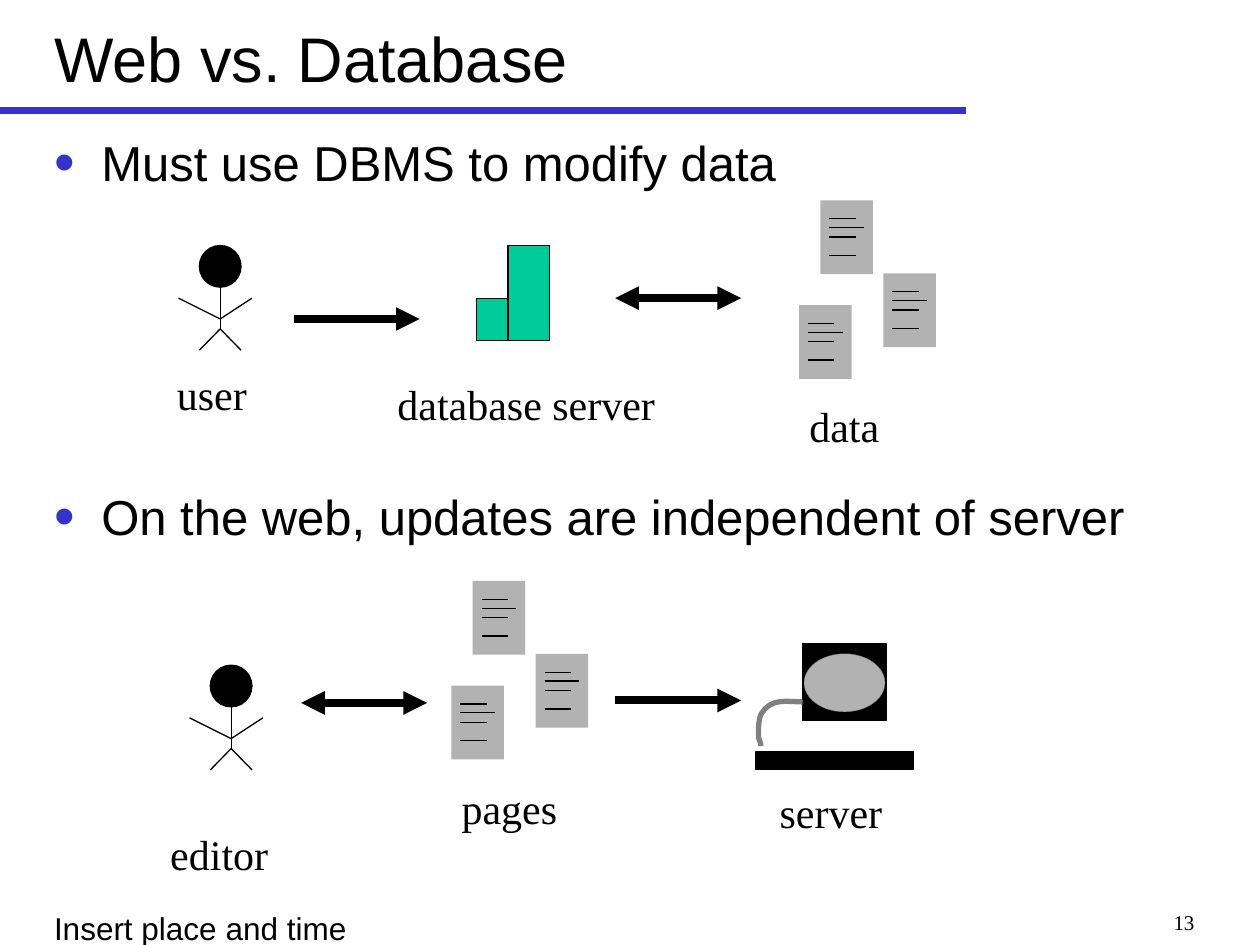
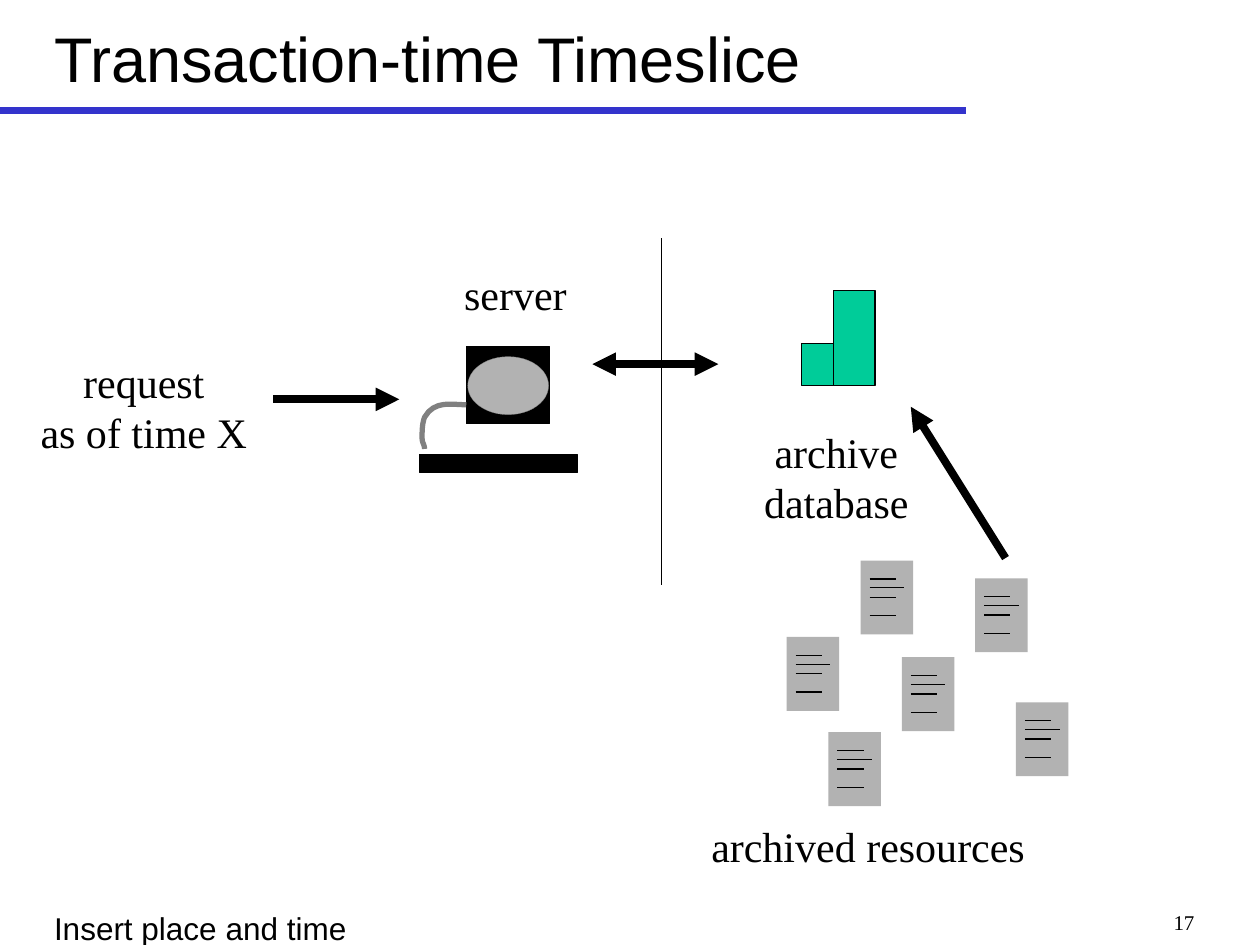
from lxml.etree import SubElement
from pptx import Presentation
from pptx.dml.color import RGBColor
from pptx.enum.dml import MSO_LINE as Dash
from pptx.enum.shapes import MSO_CONNECTOR as Conn, MSO_SHAPE as Shape
from pptx.enum.text import MSO_ANCHOR as Anchor, MSO_AUTO_SIZE as Fit, PP_ALIGN as Align
from pptx.oxml.ns import qn
from pptx.util import Cm, Pt

hues = {name: RGBColor.from_string(code) for name, code in {
    "black": "000000", "blue": "3333CC", "green": "00CC99",
    "gray": "B2B2B2", "dark": "808080"}.items()}
sans, serif = "Arial", "Times New Roman"
one, both = ("tail",), ("head", "tail")

trio = ((0, 0), (1.27, 1.47), (-0.43, 2.11))
stacks = ((9.53, 11.71), (16.54, 4.04))
limbs = ((0.42, 0.84, 0.42, 1.68), (-0.42, 1.06, 0.42, 1.48),
         (1.06, 1.06, 0.42, 1.48), (0.42, 1.68, 0, 2.11), (0.42, 1.68, 0.84, 2.11))
rows = ((0.37, 0.53), (0.55, 0.7), (0.74, 0.53), (1.11, 0.53))
cable = ((0.1, 2.06), (0.1, 1.98), (0.05, 1.93), (0.05, 1.85), (0.05, 1.7),
         (0.05, 1.55), (0.1, 1.42), (0.3, 1.07), (0.66, 1.17), (0.94, 1.17))

pages = [
    {"title": "Web vs. Database", "number": "13",
     "points": ["Must use DBMS to modify data",
                "On the web, updates are independent of server"],
     "people": [(4.02, 4.95), (4.24, 13.41)],
     "docs": [(x + dx, y + dy) for x, y in stacks for dx, dy in trio],
     "bases": [(9.6, 4.95)],
     "servers": [(15.24, 12.98)],
     "arrows": [(5.92, 6.43, 8.46, 6.43, one), (12.4, 6.01, 14.94, 6.01, both),
                (6.07, 14.17, 8.61, 14.17, both), (12.4, 14.12, 14.94, 14.12, one)],
     "lines": [],
     "labels": [("user", 2.97, 7.3, 2.6), ("database server", 7.38, 7.5, 6.46),
                ("data", 15.72, 7.95, 2.6), ("editor", 3.02, 16.58, 2.8),
                ("pages", 8.87, 15.65, 2.8), ("server", 15.25, 15.73, 3)]},
    {"title": "Transaction-time Timeslice", "number": "17",
     "points": [],
     "people": [],
     "docs": [(17.35, 11.3), (19.66, 11.66), (15.86, 12.84),
              (18.18, 13.25), (20.48, 14.16), (16.7, 14.76)],
     "bases": [(16.16, 5.86)],
     "servers": [(8.46, 6.99)],
     "arrows": [(5.51, 8.05, 8.05, 8.05, one), (11.94, 7.34, 14.48, 7.34, both),
                (20.27, 11.25, 18.36, 8.2, one)],
     "lines": [(13.34, 4.8, 13.34, 11.79)],
     "labels": [("server", 8.89, 5.28, 3), ("request\nas of time X", 0.4, 7.06, 5),
                ("archive\ndatabase", 14.86, 8.47, 4),
                ("archived resources", 13.8, 16.41, 7.4)]},
]


def block(kind, x, y, w, h, fill, edge=None):
    item = slide.shapes.add_shape(kind, Cm(x), Cm(y), Cm(w), Cm(h))
    item.shadow.inherit = False
    item.fill.solid()
    item.fill.fore_color.rgb = hues[fill]
    if edge:
        item.line.color.rgb = hues[edge]
        item.line.width = Pt(0.75)
    else:
        item.line.fill.background()
    return item


def link(x, y, right, base, width=0.75, hue="black", ends=()):
    item = slide.shapes.add_connector(Conn.STRAIGHT, Cm(x), Cm(y), Cm(right), Cm(base))
    item.line.color.rgb = hues[hue]
    item.line.width = Pt(width)
    props = item._element.spPr
    SubElement(props, qn("a:effectLst"))
    for end in ends:
        SubElement(props.find(qn("a:ln")), qn(f"a:{end}End"), type="triangle")


deck = Presentation()
deck.slide_width, deck.slide_height = Cm(25.4), Cm(19.05)

for page in pages:
    slide = deck.slides.add_slide(deck.slide_layouts[1 if page["points"] else 5])
    link(0, 2.23, 19.48, 2.23, 4, "blue")

    title = slide.shapes.title
    title.left, title.top, title.width, title.height = Cm(0.84), Cm(0.1), Cm(18.92), Cm(2.11)
    frame = title.text_frame
    frame.text = page["title"]
    frame.auto_size, frame.vertical_anchor = Fit.NONE, Anchor.MIDDLE
    para = frame.paragraphs[0]
    para.alignment = Align.LEFT
    font = para.runs[0].font
    font.name, font.size, font.color.rgb = sans, Pt(36), hues["black"]

    if page["points"]:
        body = slide.placeholders[1]
        body.left, body.top, body.width, body.height = Cm(0.84), Cm(2.54), Cm(23.5), Cm(15.04)
        frame = body.text_frame
        frame.text = "\n".join(page["points"])
        frame.auto_size = Fit.NONE
        for para, gap in zip(frame.paragraphs, (0, 169)):
            para.space_before = Pt(gap)
            props = para._p.get_or_add_pPr()
            props.set("marL", str(Cm(0.95)))
            props.set("indent", str(-Cm(0.95)))
            tint = SubElement(props, qn("a:buClr"))
            SubElement(tint, qn("a:srgbClr"), val=str(hues["blue"]))
            SubElement(props, qn("a:buSzPct"), val="120000")
            SubElement(props, qn("a:buChar"), char="•")
            font = para.runs[0].font
            font.name, font.size, font.color.rgb = sans, Pt(28), hues["black"]

    for x, y in page["people"]:
        block(Shape.OVAL, x, y, 0.84, 0.84, "black", "black")
        for ax, ay, bx, by in limbs:
            link(x + ax, y + ay, x + bx, y + by)

    for x, y in page["docs"]:
        block(Shape.RECTANGLE, x, y, 1.06, 1.49, "gray")
        for drop, size in rows:
            link(x + 0.18, y + drop, x + 0.18 + size, y + drop)

    for x, y in page["bases"]:
        block(Shape.RECTANGLE, x, y + 1.07, 0.64, 0.84, "green", "black")
        block(Shape.RECTANGLE, x + 0.64, y, 0.84, 1.91, "green", "black")

    for x, y in page["servers"]:
        block(Shape.RECTANGLE, x + 0.94, y, 1.68, 1.55, "black", "black")
        screen = block(Shape.OVAL, x + 0.97, y + 0.2, 1.63, 1.17, "gray", "dark")
        screen.line.width, screen.line.dash_style = Pt(0.25), Dash.ROUND_DOT
        block(Shape.RECTANGLE, x, y + 2.18, 3.18, 0.36, "black", "black")
        dots = []
        for start in (0, 3, 6):
            for step in range(1, 9):
                t = step / 8
                parts = ((1 - t) ** 3, 3 * t * (1 - t) ** 2, 3 * t * t * (1 - t), t ** 3)
                curve = cable[start:start + 4]
                dots.append((Cm(x + sum(p * c[0] for p, c in zip(parts, curve))),
                             Cm(y + sum(p * c[1] for p, c in zip(parts, curve)))))
        pen = slide.shapes.build_freeform(Cm(x + cable[0][0]), Cm(y + cable[0][1]))
        pen.add_line_segments(dots, close=False)
        cord = pen.convert_to_shape()
        cord.shadow.inherit = False
        cord.fill.background()
        cord.line.color.rgb, cord.line.width = hues["dark"], Pt(3)

    for ends in page["lines"]:
        link(*ends)
    for *ends, heads in page["arrows"]:
        link(*ends, 4.5, ends=heads)

    texts = [(*label, 1.27 + 1.02 * label[0].count("\n"), serif, 24, Align.CENTER)
             for label in page["labels"]]
    texts += [("Insert place and time", 0.84, 18.21, 16.84, 0.64, sans, 18, Align.LEFT),
              (page["number"], 19.05, 18.21, 5.28, 0.64, serif, 12, Align.RIGHT)]
    for words, x, y, w, h, face, size, side in texts:
        frame = slide.shapes.add_textbox(Cm(x), Cm(y), Cm(w), Cm(h)).text_frame
        frame.text = words
        frame.word_wrap = True
        for para in frame.paragraphs:
            para.alignment = side
            font = para.runs[0].font
            font.name, font.size, font.color.rgb = face, Pt(size), hues["black"]

deck.save("out.pptx")
